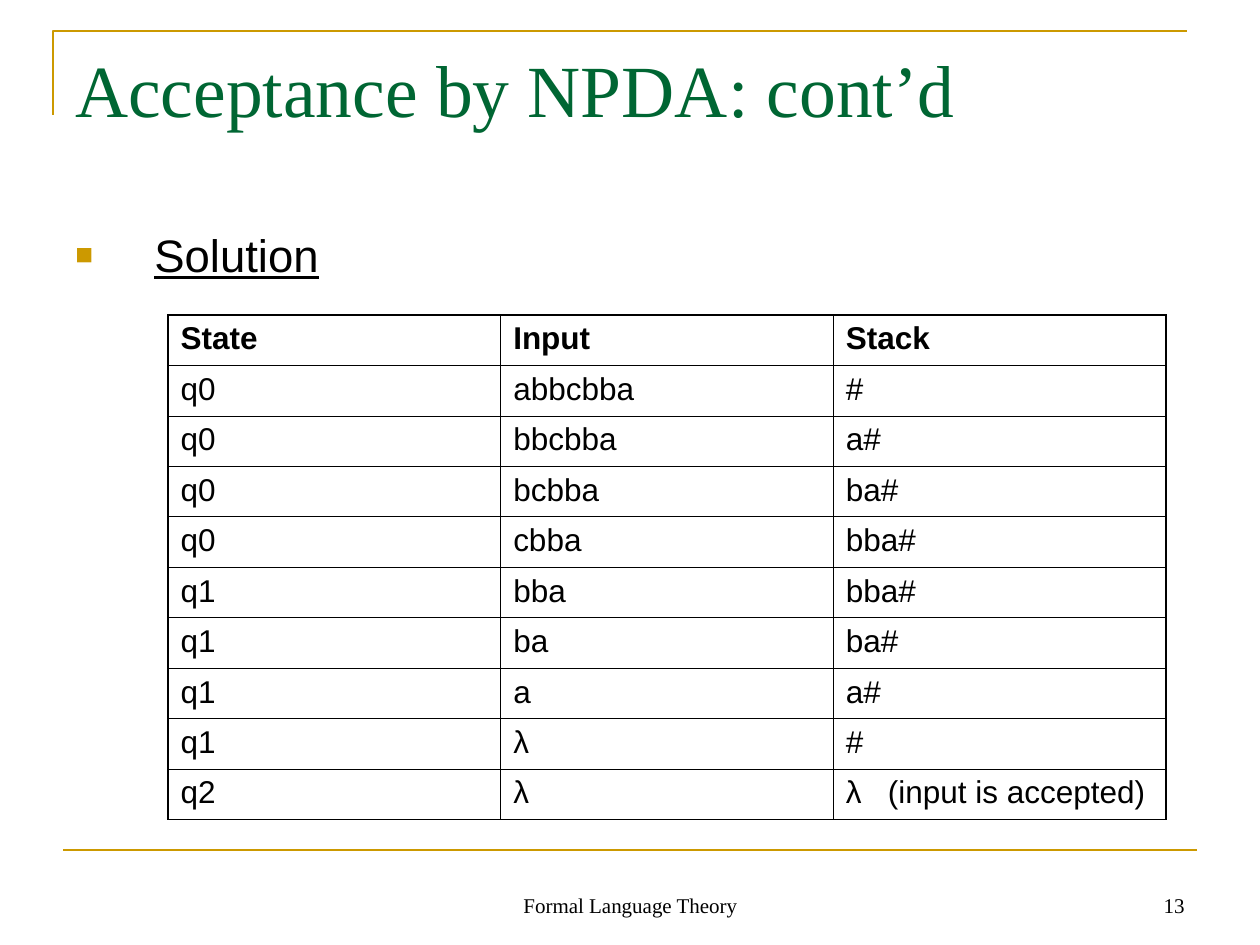
from lxml import etree
from pptx import Presentation
from pptx.dml.color import RGBColor
from pptx.enum.shapes import MSO_CONNECTOR
from pptx.enum.text import MSO_ANCHOR, PP_ALIGN
from pptx.oxml.ns import qn
from pptx.util import Pt

EMU_PER_PX = 914400 / 126
GOLD = RGBColor(0xCC, 0x99, 0x00)
GREEN = RGBColor(0x00, 0x66, 0x33)
BLACK = RGBColor(0x00, 0x00, 0x00)
STRAIGHT = MSO_CONNECTOR.STRAIGHT
TOP, BOTTOM = MSO_ANCHOR.TOP, MSO_ANCHOR.BOTTOM
LEFT, CENTER, RIGHT = PP_ALIGN.LEFT, PP_ALIGN.CENTER, PP_ALIGN.RIGHT

STEPS = [
    ("State", "Input", "Stack"),
    ("q0", "abbcbba", "#"),
    ("q0", "bbcbba", "a#"),
    ("q0", "bcbba", "ba#"),
    ("q0", "cbba", "bba#"),
    ("q1", "bba", "bba#"),
    ("q1", "ba", "ba#"),
    ("q1", "a", "a#"),
    ("q1", "λ", "#"),
    ("q2", "λ", "λ\t(input is accepted)"),
]


def px(n):
    return round(n * EMU_PER_PX)


def add_xml(parent, tag, **attrs):
    el = etree.SubElement(parent, qn(tag))
    for name, value in attrs.items():
        el.set(name, str(value))
    return el


class SlideBuilder:
    serif = "Times New Roman"
    sans = "Arial"
    rule_width = 1.5
    outer_border = 1.08
    inner_border = 0.45

    def __init__(self, slide):
        self.s = slide

    def style_line(self, line):
        line.color.rgb = GOLD
        line.width = Pt(self.rule_width)

    def corner(self, points):
        builder = self.s.shapes.build_freeform(*points[0], scale=EMU_PER_PX)
        builder.add_line_segments(points[1:], close=False)
        sp = builder.convert_to_shape()
        sp.shadow.inherit = False
        sp.fill.background()
        self.style_line(sp.line)

    def rule(self, x1, y1, x2, y2):
        sp = self.s.shapes.add_connector(STRAIGHT, px(x1), px(y1), px(x2), px(y2))
        self.style_line(sp.line)
        add_xml(sp._element.spPr, "a:effectLst")

    def run(self, p, text, color=BLACK, **fmt):
        r = p.add_run()
        r.text = text
        r.font.color.rgb = color
        for name, value in fmt.items():
            setattr(r.font, name, value)

    def text(self, x, y, w, h, text, align=LEFT, anchor=TOP, **fmt):
        sp = self.s.shapes.add_textbox(px(x), px(y), px(w), px(h))
        tf = sp.text_frame
        tf.word_wrap = True
        tf.vertical_anchor = anchor
        p = tf.paragraphs[0]
        p.alignment = align
        self.run(p, text, **fmt)
        return p

    def bullet(self, x, y, w, h, text, indent, **fmt):
        p = self.text(x, y, w, h, text, **fmt)
        p.space_before = Pt(6.5)
        pPr = p._p.get_or_add_pPr()
        pPr.set("marL", str(px(indent)))
        pPr.set("indent", str(-px(indent)))
        add_xml(add_xml(pPr, "a:buClr"), "a:srgbClr", val=GOLD)
        add_xml(pPr, "a:buSzPct", val=65000)
        add_xml(pPr, "a:buFont", typeface=self.sans)
        add_xml(pPr, "a:buChar", char="■")

    def borders(self, cell, outer_sides):
        tcPr = cell._tc.get_or_add_tcPr()
        for side in "LRTB":
            width = self.outer_border if side in outer_sides else self.inner_border
            ln = add_xml(tcPr, f"a:ln{side}", w=int(Pt(width)))
            add_xml(add_xml(ln, "a:solidFill"), "a:srgbClr", val=BLACK)

    def table(self, x, y, w, h, rows, tab):
        n_rows, n_cols = len(rows), len(rows[0])
        frame = self.s.shapes.add_table(n_rows, n_cols, px(x), px(y), px(w), px(h))
        table = frame.table
        table.first_row = table.horz_banding = False
        for i, row in enumerate(rows):
            for j, text in enumerate(row):
                cell = table.cell(i, j)
                p = cell.text_frame.paragraphs[0]
                p.space_before = Pt(4.5)
                self.run(p, text, name=self.sans, size=Pt(18), bold=i == 0)
                if "\t" in text:
                    tabs = add_xml(p._p.get_or_add_pPr(), "a:tabLst")
                    add_xml(tabs, "a:tab", pos=px(tab), algn="l")
                edges = {"L": j == 0, "R": j == n_cols - 1,
                         "T": i == 0, "B": i == n_rows - 1}
                self.borders(cell, [side for side, outer in edges.items() if outer])
                cell.fill.background()


def main():
    prs = Presentation()
    prs.slide_width, prs.slide_height = px(1260), px(945)
    b = SlideBuilder(prs.slides.add_slide(prs.slide_layouts[6]))

    # Frame lines
    b.corner([(53, 115), (53, 31), (1187, 31)])
    b.rule(63, 850, 1197, 850)

    # Footer and slide number
    small = {"name": b.serif, "size": Pt(12), "anchor": BOTTOM}
    b.text(431, 861, 399, 63, "Formal Language Theory", align=CENTER, **small)
    b.text(903, 861, 294, 63, "13", align=RIGHT, **small)

    # Title and bullet
    b.text(63, 38, 1134, 158, "Acceptance by NPDA: cont’d",
           name=b.serif, size=Pt(42), color=GREEN)
    b.bullet(63, 221, 557, 624, "Solution", 79,
             name=b.sans, size=Pt(26), underline=True)

    # Trace of the automaton
    b.table(168, 315, 998, 504, STEPS, tab=42)

    prs.save("out.pptx")


if __name__ == "__main__":
    main()
